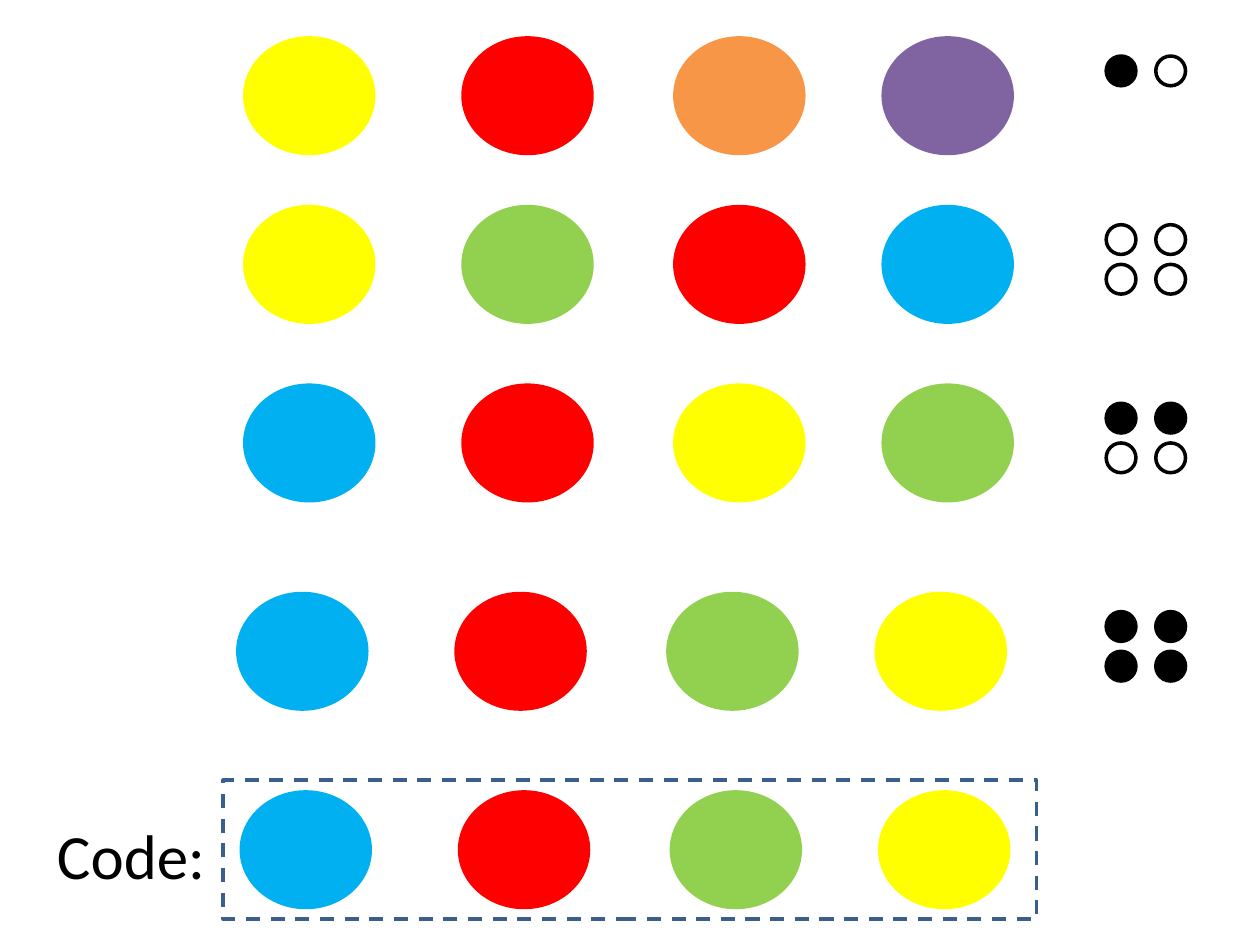
from pptx import Presentation
from pptx.dml.color import RGBColor
from pptx.enum.dml import MSO_LINE
from pptx.enum.shapes import MSO_SHAPE
from pptx.enum.text import MSO_AUTO_SIZE
from pptx.util import Cm, Pt

OVAL = MSO_SHAPE.OVAL
RECTANGLE = MSO_SHAPE.RECTANGLE
DASH = MSO_LINE.DASH
FIT_SHAPE = MSO_AUTO_SIZE.SHAPE_TO_FIT_TEXT

BLACK, WHITE = "000000", "FFFFFF"
YELLOW, RED, GREEN, BLUE = "FFFF00", "FF0000", "92D050", "00B0F0"
ORANGE, PURPLE = "F79646", "8064A2"
FRAME_BLUE = "3A5F8C"

COLUMN_OFFSETS = (0, 4.4, 8.67, 12.87)
MARBLE_WIDTH, MARBLE_HEIGHT = 2.67, 2.4
PEG_LEFT, PEG_DROP, PEG_SIZE = 22.3, 0.4, 0.6
PEG_STEP_X, PEG_STEP_Y = 1, 0.8

SECRET_CODE = (BLUE, RED, GREEN, YELLOW)
GUESSES = (
    (4.9, 0.73, (YELLOW, RED, ORANGE, PURPLE), (BLACK, WHITE)),
    (4.9, 4.13, (YELLOW, GREEN, RED, BLUE), (WHITE,) * 4),
    (4.9, 7.73, (BLUE, RED, YELLOW, GREEN), (BLACK, BLACK, WHITE, WHITE)),
    (4.76, 11.93, SECRET_CODE, (BLACK,) * 4),
)


def color(value):
    return RGBColor.from_string(value)


def add_figure(shapes, kind, left, top, width, height,
               fill=None, line=None, dash=None):
    figure = shapes.add_shape(kind, Cm(left), Cm(top), Cm(width), Cm(height))
    figure.shadow.inherit = False
    if fill:
        figure.fill.solid()
        figure.fill.fore_color.rgb = color(fill)
    else:
        figure.fill.background()
    if line:
        figure.line.color.rgb = color(line)
        figure.line.width = Pt(2)
        if dash:
            figure.line.dash_style = dash
    else:
        figure.line.fill.background()
    return figure


def add_marbles(page, left, top, fills):
    group = page.shapes.add_group_shape()
    for offset, fill in zip(COLUMN_OFFSETS, fills):
        add_figure(group.shapes, OVAL, left + offset, top,
                   MARBLE_WIDTH, MARBLE_HEIGHT, fill=fill)


def add_pegs(page, top, fills):
    group = page.shapes.add_group_shape()
    for index, fill in enumerate(fills):
        row, column = divmod(index, 2)
        add_figure(group.shapes, OVAL, PEG_LEFT + column * PEG_STEP_X,
                   top + row * PEG_STEP_Y, PEG_SIZE, PEG_SIZE,
                   fill=fill, line=BLACK)


def add_text(page, text, left, top, width, height,
             size=36, font="Calibri", ink=BLACK):
    box = page.shapes.add_textbox(Cm(left), Cm(top), Cm(width), Cm(height))
    box.text_frame.word_wrap = True
    box.text_frame.auto_size = FIT_SHAPE
    span = box.text_frame.paragraphs[0].add_run()
    span.text = text
    span.font.size = Pt(size)
    span.font.name = font
    span.font.color.rgb = color(ink)
    return box


def main():
    deck = Presentation()
    deck.slide_width, deck.slide_height = Cm(25.4), Cm(19.05)
    page = deck.slides.add_slide(deck.slide_layouts[6])
    for left, top, marbles, pegs in GUESSES:
        add_marbles(page, left, top, marbles)
        add_pegs(page, top + PEG_DROP, pegs)
    add_marbles(page, 4.83, 15.93, SECRET_CODE)
    add_text(page, "Code:", 0.9, 16.33, 3.8, 1.8)
    add_figure(page.shapes, RECTANGLE, 4.5, 15.73, 16.4, 2.8,
               line=FRAME_BLUE, dash=DASH)
    deck.save("out.pptx")


if __name__ == "__main__":
    main()
